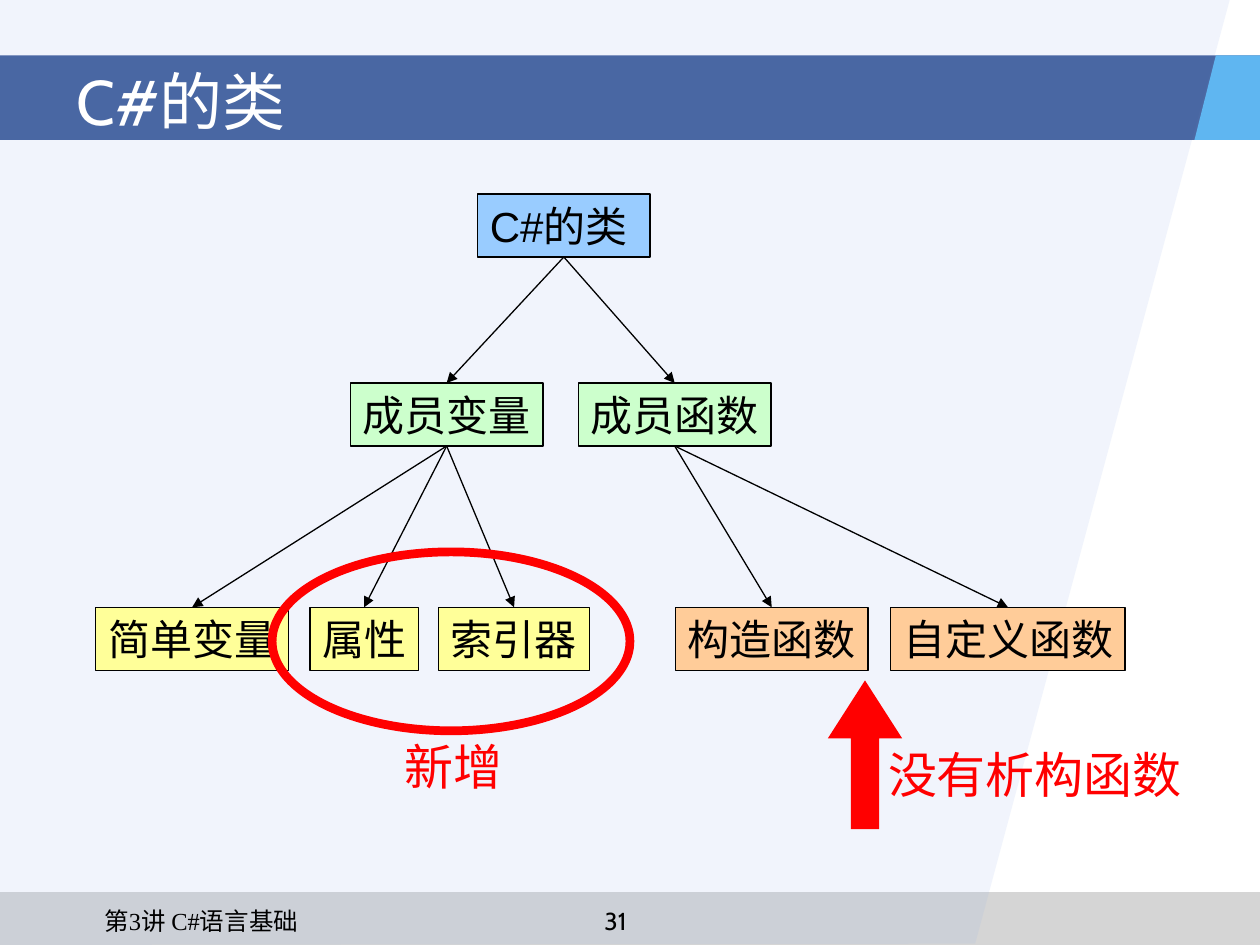
from pptx import Presentation
from pptx.dml.color import RGBColor
from pptx.enum.shapes import MSO_CONNECTOR as CONN, MSO_SHAPE as SHAPE
from pptx.enum.text import MSO_ANCHOR as ANCHOR, MSO_AUTO_SIZE as AUTO, PP_ALIGN as ALIGN
from pptx.oxml.ns import qn
from pptx.util import Inches, Pt
from lxml.etree import SubElement

COLORS = {
    "white": "FFFFFF", "black": "000000", "red": "FF0000", "gray": "969696",
    "haze": "94B1EC", "navy": "173D89", "sky": "5FB6F1", "root": "99CCFF",
    "member": "CCFFCC", "variable": "FFFF99", "function": "FFCC99",
}
BOX_H = 0.5
ROOT_Y, MEMBER_Y, LEAF_Y = 1.54, 3.04, 4.82
NODES = {
    "C#的类": (3.79, ROOT_Y, 1.37, "root"),
    "成员变量": (2.78, MEMBER_Y, 1.53, "member"),
    "成员函数": (4.59, MEMBER_Y, 1.53, "member"),
    "简单变量": (0.76, LEAF_Y, 1.53, "variable"),
    "属性": (2.46, LEAF_Y, 0.86, "variable"),
    "索引器": (3.48, LEAF_Y, 1.2, "variable"),
    "构造函数": (5.36, LEAF_Y, 1.53, "function"),
    "自定义函数": (7.07, LEAF_Y, 1.86, "function"),
}
CHILDREN = {
    "C#的类": ("成员变量", "成员函数"),
    "成员变量": ("简单变量", "属性", "索引器"),
    "成员函数": ("构造函数", "自定义函数"),
}


def rgb(name):
    """Return the named colour."""
    return RGBColor.from_string(COLORS[name])


def paint(sp, fill=None, alpha=None, line=None, width=0.75):
    """Set fill, transparency and outline, without a shadow."""
    sp.shadow.inherit = False
    if fill:
        sp.fill.solid()
        sp.fill.fore_color.rgb = rgb(fill)
        if alpha:
            clr = sp.fill._xPr.find(qn("a:solidFill"))[0]
            SubElement(clr, qn("a:alpha")).set("val", str(alpha * 1000))
    else:
        sp.fill.background()
    if line:
        sp.line.color.rgb = rgb(line)
        sp.line.width = Pt(width)
    else:
        sp.line.fill.background()


def add_preset(shapes, kind, box, **style):
    """Add a preset shape with the given style."""
    sp = shapes.add_shape(kind, *map(Inches, box))
    paint(sp, **style)
    return sp


def add_outline(shapes, points, fill, alpha=None):
    """Add a closed polygon."""
    pts = [(Inches(x), Inches(y)) for x, y in points]
    builder = shapes.build_freeform(*pts[0])
    builder.add_line_segments(pts[1:], close=True)
    paint(builder.convert_to_shape(), fill, alpha)


def write(sp, text, size, color="black", font="Arial", align=ALIGN.LEFT,
          anchor=ANCHOR.TOP, right=0.1):
    """Write one formatted paragraph into a shape and return it."""
    tf = sp.text_frame
    tf.word_wrap = True
    tf.auto_size = AUTO.NONE
    tf.vertical_anchor = anchor
    tf.margin_right = Inches(right)
    p = tf.paragraphs[0]
    p.alignment = align
    r = p.add_run()
    r.text = text
    r.font.size = Pt(size)
    r.font.name = font
    r.font.color.rgb = rgb(color)
    return p


def add_label(shapes, box, text, size, **style):
    """Add a text box."""
    return write(shapes.add_textbox(*map(Inches, box)), text, size, **style)


def add_node(shapes, text):
    """Add one box of the class tree."""
    x, y, w, fill = NODES[text]
    sp = add_preset(shapes, SHAPE.RECTANGLE, (x, y, w, BOX_H), fill=fill, line="black")
    write(sp, text, 24, right=0)


def add_arrow(shapes, parent, child):
    """Link the bottom of a parent box to the top of a child box."""
    (px, py, pw, _), (cx, cy, cw, _) = NODES[parent], NODES[child]
    ends = (px + pw / 2, py + BOX_H, cx + cw / 2, cy)
    c = shapes.add_connector(CONN.STRAIGHT, *map(Inches, ends))
    c.line.color.rgb = rgb("black")
    c.line.width = Pt(0.75)
    SubElement(c.line._get_or_add_ln(), qn("a:tailEnd")).set("type", "triangle")
    SubElement(c._element.spPr, qn("a:effectLst"))


def add_backdrop(shapes):
    """Add the footer band, slanted panel and title banner."""
    add_preset(shapes, SHAPE.RECTANGLE, (0, 7.08, 10, 0.42), fill="gray", alpha=40)
    add_outline(shapes, [(0, 0), (9.76, 0), (7.74, 7.49), (0, 7.5)], "haze", 13)
    add_preset(shapes, SHAPE.RECTANGLE, (0, 0.44, 10, 0.67), fill="navy", alpha=77)
    add_outline(shapes, [(9.65, 0.44), (9.48, 1.11), (10, 1.11), (10, 0.44)], "sky")


def add_title(s, text):
    """Place the title in front of its banner."""
    sp = s.shapes.title
    sp.left, sp.top, sp.width, sp.height = map(Inches, (0.51, 0.36, 9, 0.87))
    write(sp, text, 36, color="white", font="Cabin", anchor=ANCHOR.MIDDLE)
    s.shapes._spTree.append(sp._element)


def add_callouts(shapes):
    """Add the two red remarks, each grouped with its mark."""
    added = shapes.add_group_shape().shapes
    add_preset(added, SHAPE.OVAL, (2.16, 4.38, 2.84, 1.42), line="red", width=5)
    add_label(added, (3.11, 5.8, 0.97, 0.57), "新增", 28, color="red", right=0)
    missing = shapes.add_group_shape().shapes
    arrow = add_preset(missing, SHAPE.UP_ARROW, (6.57, 5.4, 0.59, 1.18), fill="red")
    arrow.adjustments[0], arrow.adjustments[1] = 0.38, 0.78
    add_label(missing, (6.95, 5.86, 2.53, 0.57), "没有析构函数", 28, color="red", right=0)


def add_footer(shapes):
    """Add the lecture name and the page number."""
    p = add_label(shapes, (0.49, 7.14, 3.56, 0.24), "第3讲 C#语言基础", 14,
                  font="Times New Roman")
    pPr = p._p.get_or_add_pPr()
    pPr.set("marL", str(Inches(0.24)))
    pPr.set("indent", "0")
    add_label(shapes, (4.22, 7.14, 1.33, 0.25), "31", 14, font="Cabin", align=ALIGN.CENTER)


def main():
    """Build the slide."""
    prs = Presentation()
    prs.slide_width, prs.slide_height = Inches(10), Inches(7.5)
    s = prs.slides.add_slide(prs.slide_layouts[5])
    add_backdrop(s.shapes)
    add_title(s, "C#的类")
    for text in NODES:
        add_node(s.shapes, text)
    for parent, children in CHILDREN.items():
        for child in children:
            add_arrow(s.shapes, parent, child)
    add_callouts(s.shapes)
    add_footer(s.shapes)
    prs.save("out.pptx")


if __name__ == "__main__":
    main()
